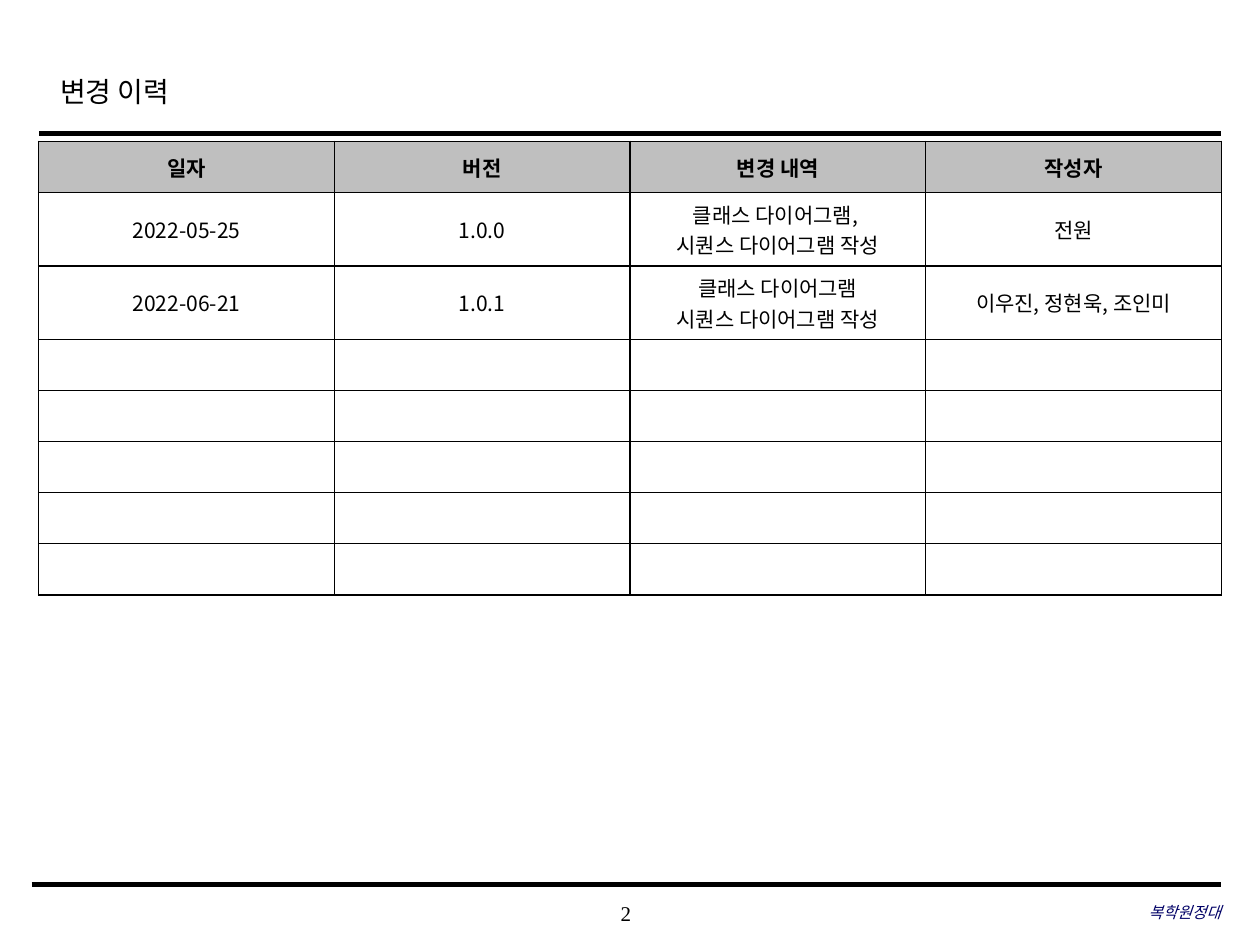
from dataclasses import dataclass

from lxml import etree
from pptx import Presentation
from pptx import util as u
from pptx.dml.color import RGBColor
from pptx.enum import shapes, text
from pptx.oxml import ns


@dataclass
class Theme:
    black: str = "000000"
    navy: str = "000066"
    white: str = "FFFFFF"
    header: str = "BFBFBF"
    latin: str = "Times New Roman"
    korean: str = "Noto Sans CJK KR"
    title_size: int = 16
    table_size: int = 12
    number_size: int = 12
    team_size: int = 9


theme = Theme()
align = text.PP_ALIGN


def write(frame, content, size, font=theme.latin, color=theme.black,
          bold=False, italic=False, alignment=align.LEFT, spacing=None):
    frame.word_wrap = True
    frame.text = content
    for paragraph in frame.paragraphs:
        paragraph.alignment = alignment
        paragraph.line_spacing = spacing
        for run in paragraph.runs:
            run.font.size = u.Pt(size)
            run.font.name = font
            run.font.bold = bold
            run.font.italic = italic
            run.font.color.rgb = RGBColor.from_string(color)
            east_asian = etree.SubElement(run.font._element, ns.qn("a:ea"))
            east_asian.set("typeface", theme.korean)


def add_border(cell, side):
    properties = cell._tc.get_or_add_tcPr()
    line = etree.SubElement(properties, ns.qn(f"a:{side}"), w=str(u.Pt(1)))
    fill = etree.SubElement(line, ns.qn("a:solidFill"))
    etree.SubElement(fill, ns.qn("a:srgbClr"), val=theme.black)


presentation = Presentation()
presentation.slide_width = u.Cm(25.4)
presentation.slide_height = u.Cm(19.05)
slide = presentation.slides.add_slide(presentation.slide_layouts[5])

title = slide.shapes.title
title.left, title.top, title.width, title.height = u.Cm(0.96), u.Cm(1.13), u.Cm(19.18), u.Cm(1.27)
title.text_frame.vertical_anchor = text.MSO_ANCHOR.MIDDLE
write(title.text_frame, "변경 이력", theme.title_size, spacing=1.2)

for left, top, weight in ((0.79, 2.69, 2.5), (0.64, 17.83, 3)):
    rule = slide.shapes.add_connector(
        shapes.MSO_CONNECTOR.STRAIGHT, u.Cm(left), u.Cm(top), u.Cm(24.61), u.Cm(top))
    rule.line.color.rgb = RGBColor.from_string(theme.black)
    rule.line.width = u.Pt(weight)
    etree.SubElement(rule._element.spPr, ns.qn("a:effectLst"))

footers = (
    ("2", 9.98, 17.98, 5.28, dict(size=theme.number_size, alignment=align.CENTER)),
    ("복학원정대", 16.84, 17.96, 7.77,
     dict(size=theme.team_size, color=theme.navy, italic=True, alignment=align.RIGHT)),
)
for content, left, top, width, style in footers:
    footer = slide.shapes.add_textbox(u.Cm(left), u.Cm(top), u.Cm(width), u.Cm(0.84))
    frame = footer.text_frame
    frame.margin_left = frame.margin_right = frame.margin_top = frame.margin_bottom = 0
    frame.vertical_anchor = text.MSO_ANCHOR.MIDDLE
    write(frame, content, **style)

history = (
    ("일자", "버전", "변경 내역", "작성자"),
    ("2022-05-25", "1.0.0", "클래스 다이어그램, \n시퀀스 다이어그램 작성", "전원"),
    ("2022-06-21", "1.0.1", "클래스 다이어그램\n시퀀스 다이어그램 작성", "이우진, 정현욱, 조인미"),
)
column_count = 4
single_line, double_line = u.Cm(1.03), u.Cm(1.48)
row_heights = [single_line] + [double_line] * 2 + [single_line] * 5
table = slide.shapes.add_table(
    len(row_heights), column_count, u.Cm(0.78), u.Cm(2.85), u.Cm(23.84), sum(row_heights)).table

for row, height in enumerate(row_heights):
    table.rows[row].height = height
    for column in range(column_count):
        cell = table.cell(row, column)
        cell.vertical_anchor = text.MSO_ANCHOR.MIDDLE
        for side in ("lnL", "lnR", "lnT", "lnB"):
            add_border(cell, side)
        cell.fill.solid()
        cell.fill.fore_color.rgb = RGBColor.from_string(theme.white if row else theme.header)
        if row < len(history):
            write(cell.text_frame, history[row][column], theme.table_size,
                  font=theme.korean, bold=row == 0, alignment=align.CENTER)

presentation.save("out.pptx")
